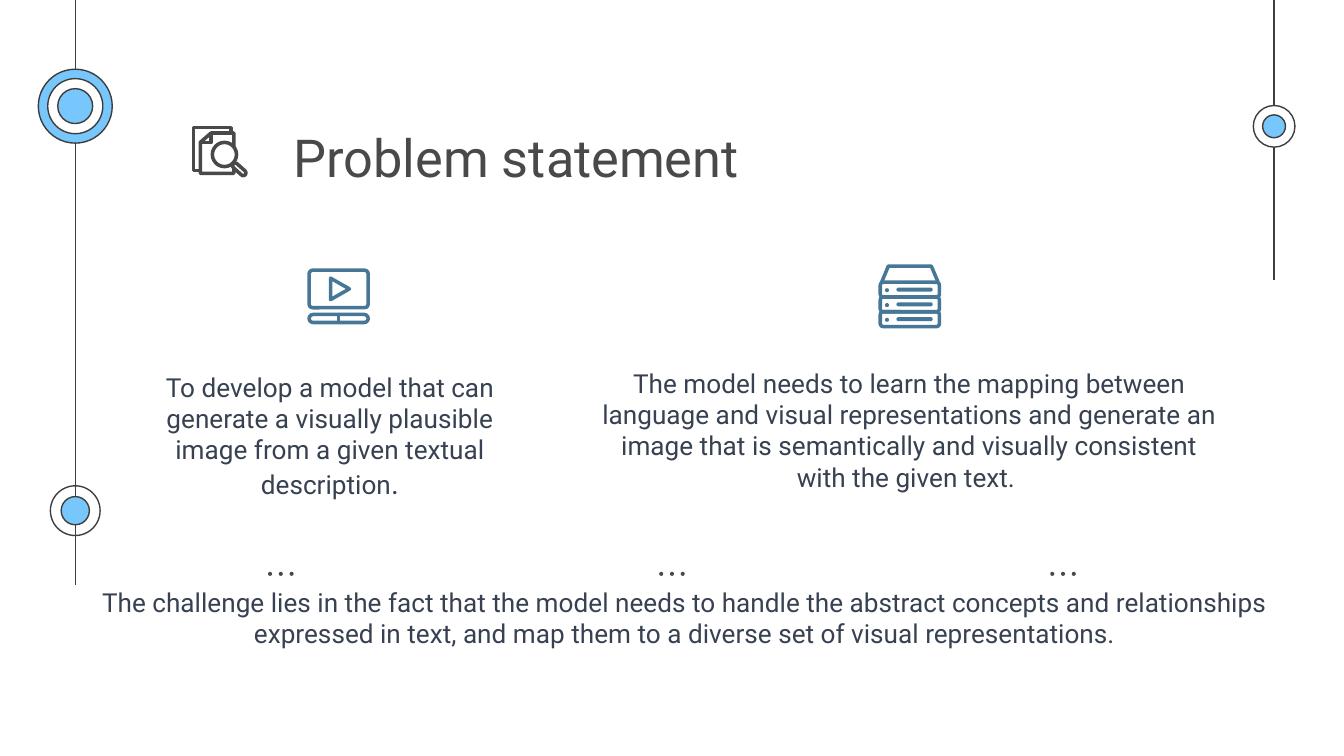
"""Build the problem statement slide."""
import dataclasses

import pptx
import pptx.dml.color
import pptx.enum.shapes
import pptx.enum.text
import pptx.oxml
import pptx.util

Inches = pptx.util.Inches
SHAPE = pptx.enum.shapes.MSO_SHAPE


@dataclasses.dataclass(frozen=True)
class Theme:
    font: str = "Roboto"
    dark: str = "494949"
    body: str = "374151"
    outline: str = "3D3D3D"
    sky: str = "77C6FC"
    steel: str = "477797"
    white: str = "FFFFFF"
    title_size: float = 28
    body_size: float = 14
    stop_size: float = 16
    thin: float = 0.75
    stroke: float = 1.9


THEME = Theme()


def rgb(color):
    return pptx.dml.color.RGBColor.from_string(color)


def style(sp, fill=None, line=None, width=THEME.stroke):
    sp.shadow.inherit = False
    if fill:
        sp.fill.solid()
        sp.fill.fore_color.rgb = rgb(fill)
    else:
        sp.fill.background()
    if line:
        sp.line.color.rgb = rgb(line)
        sp.line.width = pptx.util.Pt(width)
    else:
        sp.line.fill.background()
    return sp


def add_box(s, kind, x, y, w, h, **look):
    sp = s.shapes.add_shape(kind, Inches(x), Inches(y), Inches(w), Inches(h))
    return style(sp, **look)


def add_round(s, x, y, w, h, radius, **look):
    sp = add_box(s, SHAPE.ROUNDED_RECTANGLE, x, y, w, h, **look)
    sp.adjustments[0] = radius
    return sp


def add_circle(s, cx, cy, d, **look):
    return add_box(s, SHAPE.OVAL, cx - d / 2, cy - d / 2, d, d, **look)


def add_line(s, x1, y1, x2, y2, color, width):
    cx = s.shapes.add_connector(pptx.enum.shapes.MSO_CONNECTOR.STRAIGHT,
                                Inches(x1), Inches(y1), Inches(x2), Inches(y2))
    cx.line.color.rgb = rgb(color)
    cx.line.width = pptx.util.Pt(width)
    cx._element.spPr.append(pptx.oxml.parse_xml(
        '<a:effectLst xmlns:a="http://schemas.openxmlformats.org/drawingml/2006/main"/>'))


def add_path(s, points, color, close=False):
    start, *rest = [(Inches(x), Inches(y)) for x, y in points]
    fb = s.shapes.build_freeform(*start)
    fb.add_line_segments(rest, close=close)
    return style(fb.convert_to_shape(), line=color)


def add_text(s, x, y, w, h, text, size, color):
    tf = s.shapes.add_textbox(Inches(x), Inches(y), Inches(w), Inches(h)).text_frame
    tf.word_wrap = True
    tf.margin_left = tf.margin_right = tf.margin_top = tf.margin_bottom = Inches(0.1)
    p = tf.paragraphs[0]
    p.text = text
    p.alignment = pptx.enum.text.PP_ALIGN.CENTER
    format_run(p.runs[0], size, color)
    return p


def format_run(r, size, color):
    r.font.name = THEME.font
    r.font.size = pptx.util.Pt(size)
    r.font.color.rgb = rgb(color)


def add_target(s, cx, cy, rings):
    for d, fill in rings:
        add_circle(s, cx, cy, d, fill=fill, line=THEME.outline, width=THEME.thin)


def add_dots(s, x, y):
    for i in range(3):
        add_circle(s, x + 0.08 * i, y, 0.03, fill=THEME.dark)


def add_video_icon(s, x, y):
    c = THEME.steel
    add_round(s, x + 0.01, y + 0.01, 0.44, 0.28, 0.1, line=c)
    add_round(s, x + 0.01, y + 0.34, 0.44, 0.06, 0.5, line=c)
    add_line(s, x + 0.23, y + 0.34, x + 0.23, y + 0.4, c, THEME.stroke)
    add_path(s, [(x + 0.17, y + 0.07), (x + 0.31, y + 0.15), (x + 0.17, y + 0.23)], c, True)


def add_server_icon(s, x, y):
    c = THEME.steel
    add_path(s, [(x + 0.02, y + 0.13), (x + 0.07, y + 0.01),
                 (x + 0.39, y + 0.01), (x + 0.44, y + 0.13)], c)
    for i in range(3):
        top = y + 0.13 + 0.11 * i
        add_round(s, x + 0.01, top, 0.44, 0.11, 0.2, line=c)
        add_circle(s, x + 0.06, top + 0.06, 0.03, fill=c)
        add_round(s, x + 0.13, top + 0.04, 0.27, 0.03, 0.5, fill=c)


def add_search_icon(s, x, y):
    c = THEME.dark
    add_path(s, [(x + 0.06, y + 0.33), (x + 0.01, y + 0.33), (x + 0.01, y + 0.01),
                 (x + 0.29, y + 0.01), (x + 0.29, y + 0.05)], c)
    add_path(s, [(x + 0.06, y + 0.12), (x + 0.14, y + 0.05), (x + 0.31, y + 0.05),
                 (x + 0.31, y + 0.35), (x + 0.06, y + 0.35)], c, True)
    add_path(s, [(x + 0.06, y + 0.12), (x + 0.14, y + 0.12), (x + 0.14, y + 0.05)], c)
    add_circle(s, x + 0.24, y + 0.21, 0.18, fill=THEME.white, line=c)
    handle = add_round(s, x + 0.29, y + 0.3, 0.12, 0.04, 0.5, fill=THEME.white, line=c)
    handle.rotation = 42


def main():
    prs = pptx.Presentation()
    prs.slide_width = Inches(10)
    prs.slide_height = prs.slide_width * 9 // 16
    s = prs.slides.add_slide(prs.slide_layouts[6])
    t = THEME

    add_line(s, 0.56, 0, 0.56, 4.35, t.outline, t.thin)
    add_line(s, 9.48, 0, 9.48, 2.08, t.outline, t.thin)
    add_target(s, 0.56, 3.8, [(0.37, None), (0.21, t.sky)])
    add_target(s, 9.48, 0.94, [(0.31, t.white), (0.17, t.sky)])
    add_target(s, 0.56, 0.79, [(0.55, t.sky), (0.41, t.white), (0.26, t.sky)])
    for i in range(3):
        add_dots(s, 2.01 + 2.91 * i, 4.27)

    add_text(s, 2.07, 0.83, 3.54, 0.65, "Problem statement", t.title_size, t.dark)
    add_text(s, 4.32, 2.63, 4.89, 1.18,
             "The model needs to learn the mapping between language and visual "
             "representations and generate an image that is semantically and "
             "visually consistent with the given text. ", t.body_size, t.body)
    p = add_text(s, 0.91, 2.66, 3.09, 1.08,
                 "To develop a model that can generate a visually plausible image "
                 "from a given textual description", t.body_size, t.body)
    r = p.add_run()
    r.text = "."
    format_run(r, t.stop_size, t.body)
    add_text(s, 0.65, 4.26, 8.89, 1.18,
             "The challenge lies in the fact that the model needs to handle the "
             "abstract concepts and relationships expressed in text, and map them "
             "to a diverse set of visual representations.", t.body_size, t.body)

    add_video_icon(s, 2.29, 2)
    add_server_icon(s, 6.54, 1.97)
    add_search_icon(s, 1.43, 0.94)
    prs.save("out.pptx")


if __name__ == "__main__":
    main()
